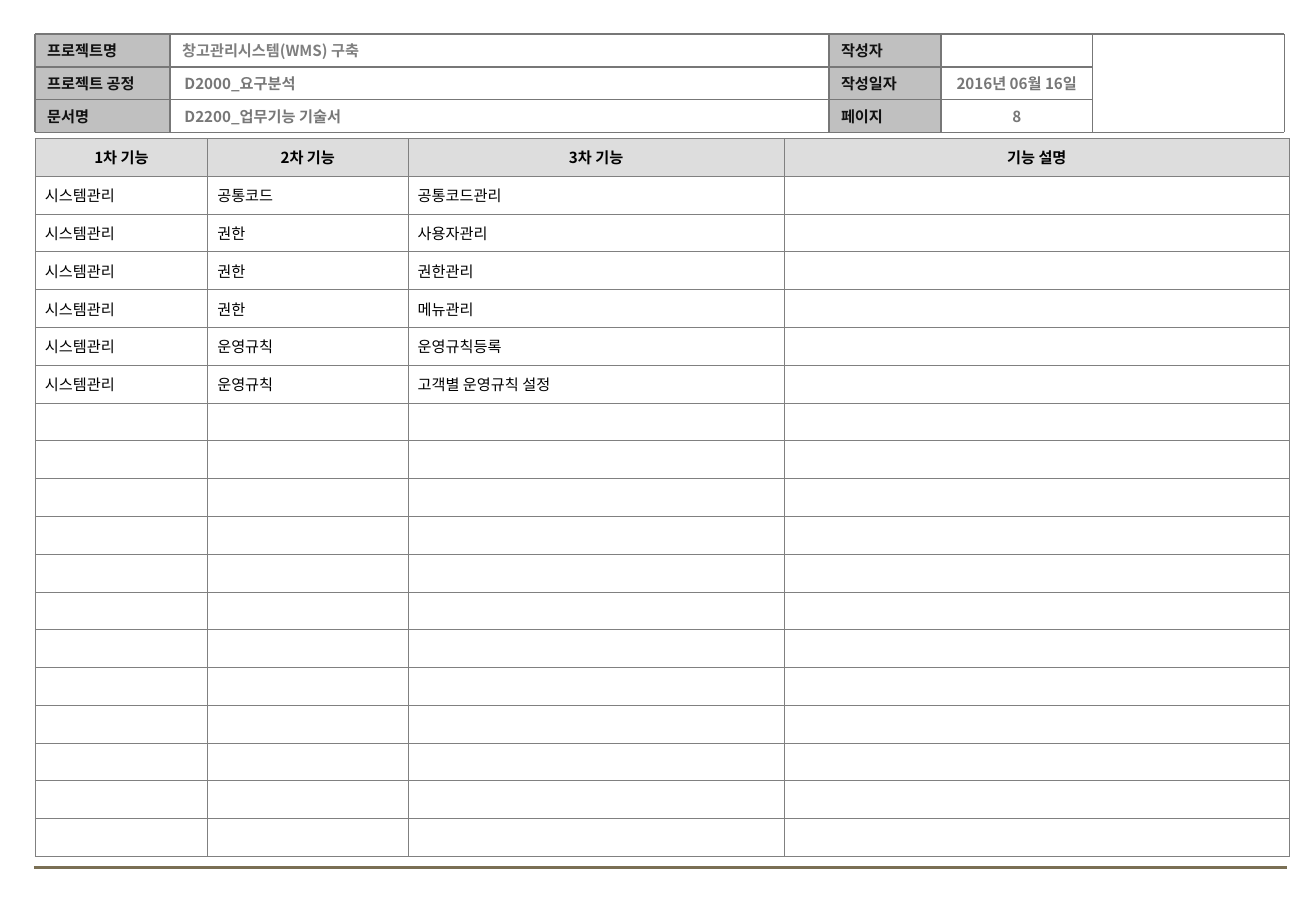
from lxml import etree
from pptx import Presentation
from pptx import util as u
from pptx.dml.color import RGBColor
from pptx.enum import shapes, text
from pptx.oxml import ns

WIDE, HIGH = 10.84, 7.5
FONT = "Noto Sans CJK KR"
INK = {"label": "111111", "title": "7F7F7F", "value": "777777", "cell": "000000",
       "rule": "777777", "grid": "808080", "gray": "C0C0C0", "head": "DDDDDD",
       "foot": "7A6F54"}
LEFT, MID = text.PP_ALIGN.LEFT, text.PP_ALIGN.CENTER

LABELS = [("프로젝트명", "작성자"), ("프로젝트 공정", "작성일자"), ("문서명", "페이지")]
VALUES = [("창고관리시스템(WMS) 구축", ""),
          ("D2000_요구분석", "2016년 06월 16일"),
          ("D2200_업무기능 기술서", "8")]
HEADS = ["1차 기능", "2차 기능", "3차 기능", "기능 설명"]
TASKS = [("공통코드", "공통코드관리"), ("권한", "사용자관리"), ("권한", "권한관리"),
         ("권한", "메뉴관리"), ("운영규칙", "운영규칙등록"),
         ("운영규칙", "고객별 운영규칙 설정")]
BODY = [("시스템관리",) + task for task in TASKS]
COLS = [1.42, 1.65, 3.1, 4.16]
ROWS = 19


def tint(name):
    return RGBColor.from_string(INK[name])


def node(parent, tag, **attrs):
    return etree.SubElement(parent, ns.qn(tag), **attrs)


def write(frame, words, color, bold, align=LEFT):
    para = frame.paragraphs[0]
    para.alignment = align
    run = para.add_run()
    run.text = words
    font = run.font
    font.size, font.bold = u.Pt(9), bold
    font.color.rgb = tint(color)
    font.name = FONT
    node(font._element, "a:ea", typeface=FONT)


def fit(frame):
    frame.word_wrap = True
    frame.vertical_anchor = text.MSO_ANCHOR.MIDDLE


def label(slide, box, words):
    rect = slide.shapes.add_shape(shapes.MSO_SHAPE.RECTANGLE, *map(u.Inches, box))
    rect.shadow.inherit = False
    rect.fill.solid()
    rect.fill.fore_color.rgb = tint("gray")
    rect.line.fill.background()
    fit(rect.text_frame)
    write(rect.text_frame, words, "label", True)


def value(slide, box, words, color, align=LEFT):
    frame = slide.shapes.add_textbox(*map(u.Inches, box)).text_frame
    fit(frame)
    write(frame, words, color, True, align)


def rule(slide, ends, color="rule", width=1):
    line = slide.shapes.add_connector(
        shapes.MSO_CONNECTOR.STRAIGHT, *map(u.Inches, ends))
    line.line.color.rgb = tint(color)
    line.line.width = u.Pt(width)
    node(line._element.spPr, "a:effectLst")


def header(slide, x, y, w, h):
    edges = [x + w * part for part in (0, 0.108, 0.6355, 0.725, 0.8465, 1)]
    step = h / 3
    for i, (names, words) in enumerate(zip(LABELS, VALUES)):
        top = y + i * step
        for name, col in zip(names, (0, 2)):
            label(slide, (edges[col], top, edges[col + 1] - edges[col], step), name)
        inset = 0.02 if i else 0
        value(slide, (edges[1] + inset, top, edges[2] - edges[1] - inset, step),
              words[0], "value" if i else "title")
        if words[1]:
            pad = 0.16
            value(slide, (edges[3] - pad, top, edges[4] - edges[3] + 2 * pad, step),
                  words[1], "value", MID)
    for edge in edges:
        rule(slide, (edge, y, edge, y + h))
    for i in range(4):
        end = edges[4] if i in (1, 2) else edges[5]
        rule(slide, (x, y + i * step, end, y + i * step))


def border(cell):
    props = cell._tc.get_or_add_tcPr()
    for side in ("a:lnL", "a:lnR", "a:lnT", "a:lnB"):
        line = node(props, side, w=str(u.Pt(0.45)))
        node(node(line, "a:solidFill"), "a:srgbClr", val=INK["grid"])


def grid(slide, x, y, w, h):
    table = slide.shapes.add_table(ROWS, len(COLS), *map(u.Inches, (x, y, w, h))).table
    table.first_row = table.horz_banding = False
    for col, size in zip(table.columns, COLS):
        col.width = u.Inches(w * size / sum(COLS))
    for r, row in enumerate(table.rows):
        row.height = u.Inches(h / ROWS)
        words = HEADS if r == 0 else BODY[r - 1] if r <= len(BODY) else ()
        for c, cell in enumerate(row.cells):
            cell.margin_left = cell.margin_right = u.Inches(0.08)
            cell.margin_top = cell.margin_bottom = u.Inches(0.05)
            cell.vertical_anchor = text.MSO_ANCHOR.MIDDLE
            border(cell)
            if r == 0:
                cell.fill.solid()
                cell.fill.fore_color.rgb = tint("head")
            else:
                cell.fill.background()
            if c < len(words):
                write(cell.text_frame, words[c], "cell", r == 0, LEFT if r else MID)
            else:
                node(cell.text_frame.paragraphs[0]._p, "a:endParaRPr", sz="900")


def main():
    deck = Presentation()
    deck.slide_width, deck.slide_height = u.Inches(WIDE), u.Inches(HIGH)
    slide = deck.slides.add_slide(deck.slide_layouts[6])
    rule(slide, (0.28, 7.14, 10.6, 7.14), "foot", 1.75)
    header(slide, 0.29, 0.28, 10.29, 0.81)
    grid(slide, 0.29, 1.14, 10.33, 5.91)
    deck.save("out.pptx")


if __name__ == "__main__":
    main()
